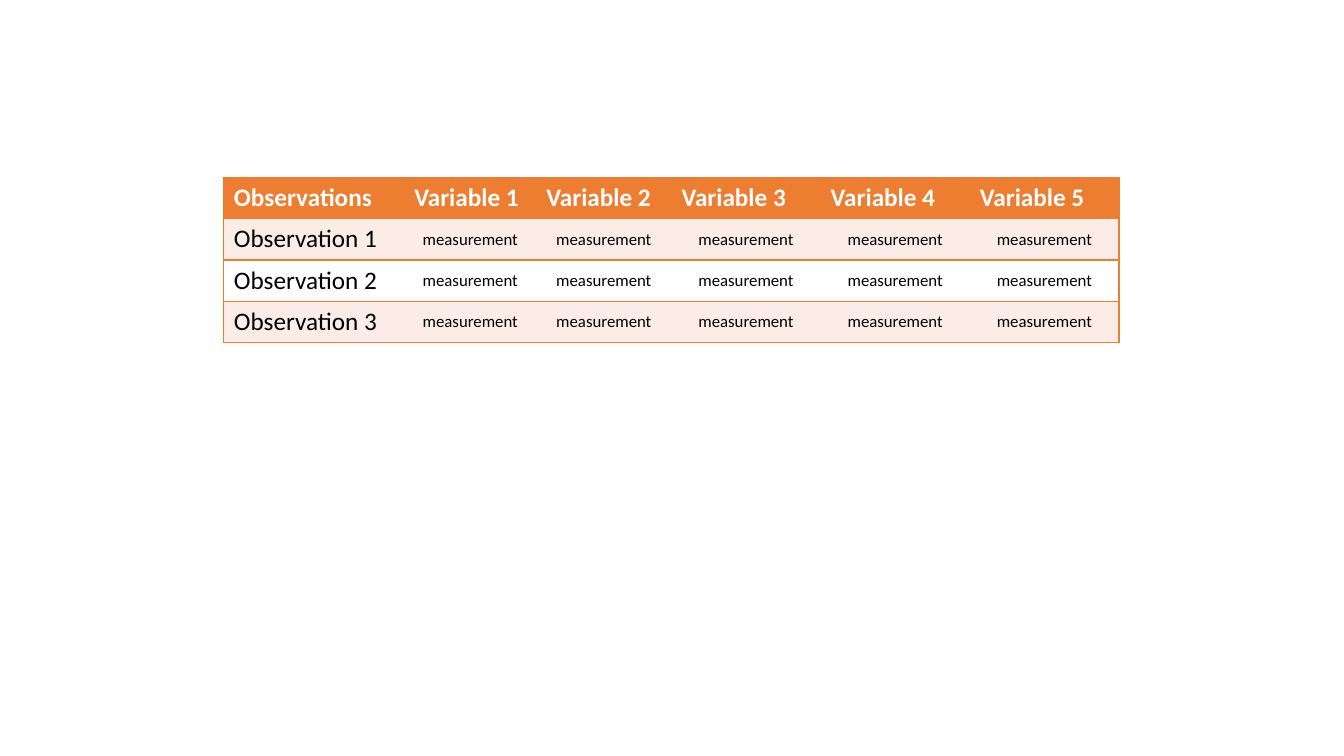
from dataclasses import dataclass

from lxml.etree import _Element
from pptx import Presentation
from pptx.dml.color import RGBColor
from pptx.enum.text import MSO_ANCHOR, PP_ALIGN
from pptx.oxml import parse_xml
from pptx.oxml.ns import nsdecls
from pptx.table import _Cell
from pptx.util import Inches, Pt

LEFT, CENTER = PP_ALIGN.LEFT, PP_ALIGN.CENTER
TOP, MIDDLE = MSO_ANCHOR.TOP, MSO_ANCHOR.MIDDLE
COLORS = {"accent": "ED7D31", "band": "FCECE8", "white": "FFFFFF", "black": "000000"}
FONT = "Calibri"
COLUMN_WIDTHS = (1.79, 1.31, 1.34, 1.48, 1.48, 1.48)
ROW_HEIGHT = 0.41
VARIABLES = len(COLUMN_WIDTHS) - 1
OBSERVATIONS = 3


@dataclass(frozen=True)
class CellStyle:
    size: int
    color: str
    bold: bool = False
    align: PP_ALIGN = LEFT
    anchor: MSO_ANCHOR = TOP


HEADER = CellStyle(18, "white", bold=True)
LABEL = CellStyle(18, "black")
MEASUREMENT = CellStyle(12, "black", align=CENTER, anchor=MIDDLE)


def border(side: str, visible: bool) -> _Element:
    """Return the border element for one side of a cell."""
    paint = f'<a:solidFill><a:srgbClr val="{COLORS["accent"]}"/></a:solidFill>' if visible else "<a:noFill/>"
    width = Pt(1) if visible else 0
    return parse_xml(f'<a:ln{side} {nsdecls("a")} w="{width}">{paint}</a:ln{side}>')


def fill_cell(cell: _Cell, text: str, style: CellStyle, fill: str, sides: str) -> None:
    """Write and format one cell, with borders on the given sides."""
    cell.text = text
    cell.vertical_anchor = style.anchor
    cell.fill.solid()
    cell.fill.fore_color.rgb = RGBColor.from_string(COLORS[fill])
    para = cell.text_frame.paragraphs[0]
    para.alignment = style.align
    para.font.name = FONT
    para.font.size = Pt(style.size)
    para.font.bold = style.bold
    para.font.color.rgb = RGBColor.from_string(COLORS[style.color])
    properties = cell._tc.get_or_add_tcPr()
    for position, side in enumerate("LRTB"):
        properties.insert(position, border(side, side in sides))


def main() -> None:
    """Build the table of observations and variables."""
    deck = Presentation()
    deck.slide_width, deck.slide_height = Inches(13.33), Inches(7.5)
    page = deck.slides.add_slide(deck.slide_layouts[6])
    rows = [["Observations"] + [f"Variable {number}" for number in range(1, VARIABLES + 1)]]
    rows += [[f"Observation {number}"] + ["measurement"] * VARIABLES for number in range(1, OBSERVATIONS + 1)]
    width, height = sum(COLUMN_WIDTHS), ROW_HEIGHT * len(rows)
    frame = page.shapes.add_table(
        len(rows), len(COLUMN_WIDTHS), Inches(2.22), Inches(1.76), Inches(width), Inches(height)
    )
    table = frame.table
    table.horz_banding = False
    for column, column_width in zip(table.columns, COLUMN_WIDTHS):
        column.width = Inches(column_width)
    for row_index, texts in enumerate(rows):
        table.rows[row_index].height = Inches(ROW_HEIGHT)
        fill = "accent" if row_index == 0 else ("white", "band")[row_index % 2]
        for column_index, text in enumerate(texts):
            style = HEADER if row_index == 0 else LABEL if column_index == 0 else MEASUREMENT
            sides = "TB" + {0: "L", VARIABLES: "R"}.get(column_index, "")
            fill_cell(table.cell(row_index, column_index), text, style, fill, sides)
    deck.save("out.pptx")


main()
